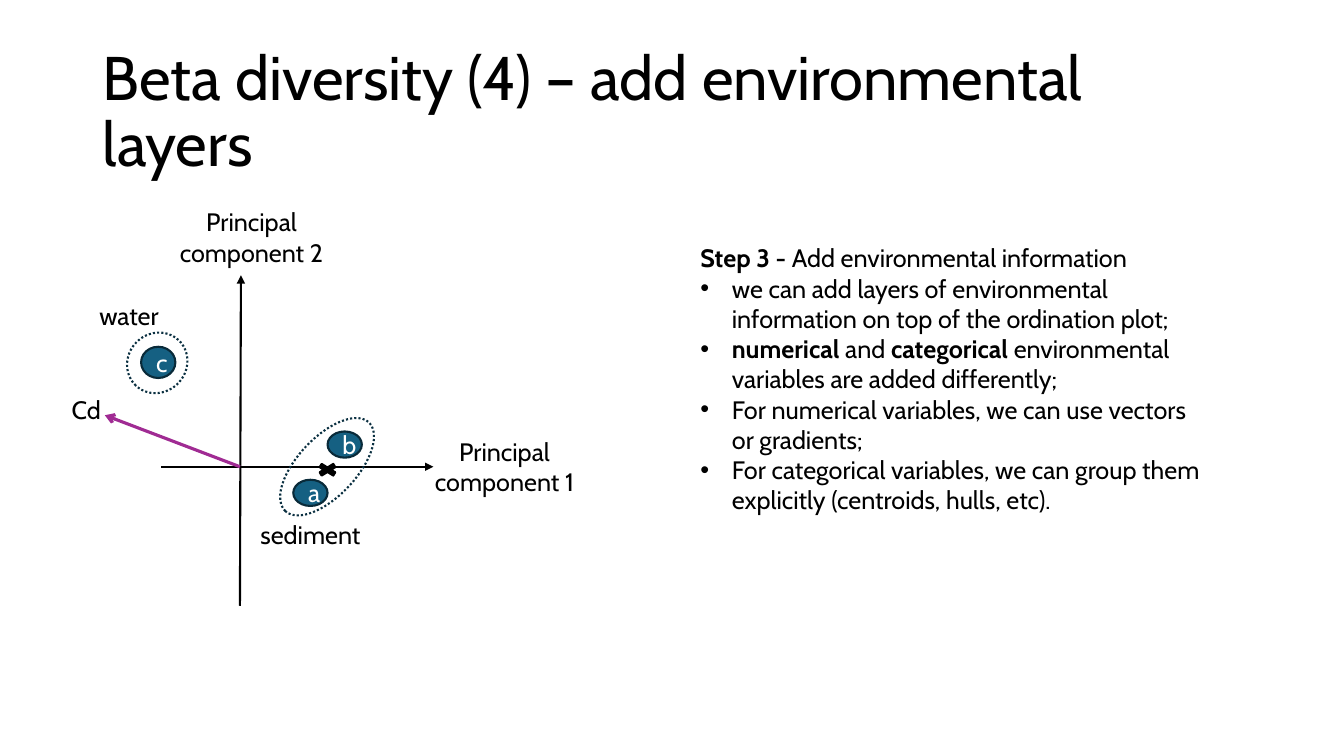
from dataclasses import dataclass
from typing import Optional

from lxml.etree import SubElement
from pptx import Presentation
from pptx.dml.color import RGBColor
from pptx.enum.dml import MSO_LINE
from pptx.enum.shapes import MSO_CONNECTOR, MSO_SHAPE
from pptx.enum.text import MSO_ANCHOR, PP_ALIGN
from pptx.oxml.ns import qn
from pptx.util import Pt

FONT = "Cabin"
BLACK = RGBColor(0x00, 0x00, 0x00)
WHITE = RGBColor(0xFF, 0xFF, 0xFF)
SAMPLE_FILL = RGBColor(0x15, 0x60, 0x82)
SAMPLE_EDGE = RGBColor(0x09, 0x2A, 0x39)
GROUP_EDGE = RGBColor(0x0B, 0x30, 0x41)
VECTOR_PURPLE = RGBColor(0xA0, 0x2B, 0x93)
BULLET_INDENT = 22.5
ORIGIN_X, ORIGIN_Y = 171.4, 333.4


@dataclass
class Box:
    left: float
    top: float
    width: float
    height: float

    def lengths(self) -> tuple:
        return Pt(self.left), Pt(self.top), Pt(self.width), Pt(self.height)


@dataclass
class Label:
    text: str
    box: Box


@dataclass
class Arrow:
    start: tuple[float, float]
    end: tuple[float, float]
    color: RGBColor = BLACK
    width: float = 1.5
    head: str = "triangle"


@dataclass
class Marker:
    box: Box
    edge: RGBColor
    fill: Optional[RGBColor] = None
    text: str = ""
    rotation: float = 0
    preset: MSO_SHAPE = MSO_SHAPE.OVAL


TITLE = Label("Beta diversity (4) – add environmental layers", Box(66.2, 28.8, 828, 104.4))
EXPLANATION_BOX = Box(493.2, 169.9, 375.1, 203.8)
# Each paragraph is a list of (text, bold) runs; the first one is the heading.
EXPLANATION = [
    [("Step 3 - ", True), ("Add environmental information", False)],
    [("we can add layers of environmental information on top of the ordination plot;", False)],
    [("numerical ", True), ("and ", False), ("categorical", True),
     (" environmental variables are added differently;", False)],
    [("For numerical variables, we can use vectors or gradients;", False)],
    [("For categorical variables, we can group them explicitly (centroids, hulls, etc).", False)],
]
AXES = [
    Arrow((115.2, ORIGIN_Y), (309.6, ORIGIN_Y)),
    Arrow((ORIGIN_X, 432.7), (172.1, 196.6)),
]
CADMIUM_VECTOR = Arrow((ORIGIN_X, ORIGIN_Y), (74.9, 296.6), VECTOR_PURPLE, 2.25, "arrow")
LABELS = [
    Label("Principal component 1", Box(281.5, 308.2, 157.7, 51.1)),
    Label("Principal component 2", Box(100.8, 144, 157.7, 51.1)),
    Label("Cd", Box(39.6, 277.9, 43.9, 28.8)),
    Label("sediment", Box(151.9, 367.2, 139.7, 28.8)),
    Label("water", Box(22.3, 211, 139.7, 28.8)),
]
SAMPLES = [
    Marker(Box(209.5, 342.7, 24.5, 18.7), SAMPLE_EDGE, SAMPLE_FILL, "a"),
    Marker(Box(234, 308.2, 24.5, 18.7), SAMPLE_EDGE, SAMPLE_FILL, "b"),
    Marker(Box(100.8, 247.7, 24.5, 22.3), SAMPLE_EDGE, SAMPLE_FILL, "c"),
]
GROUPS = [
    Marker(Box(190.1, 312.5, 87.1, 41.8), GROUP_EDGE, rotation=313.3),
    Marker(Box(90, 238.3, 44.6, 41.8), GROUP_EDGE, rotation=313.3),
]
CENTROID = Marker(Box(224.6, 329.8, 18.7, 11.5), BLACK, BLACK,
                  preset=MSO_SHAPE.MATH_MULTIPLY)


def add_run(paragraph, text: str, size: float = 18, color: RGBColor = BLACK,
            bold: bool = False) -> None:
    run = paragraph.add_run()
    run.text = text
    for name, value in {"name": FONT, "size": Pt(size), "bold": bold}.items():
        setattr(run.font, name, value)
    run.font.color.rgb = color


def add_text_frame(slide, box: Box, anchor: MSO_ANCHOR = MSO_ANCHOR.TOP):
    frame = slide.shapes.add_textbox(*box.lengths()).text_frame
    for name, value in {"word_wrap": True, "vertical_anchor": anchor}.items():
        setattr(frame, name, value)
    return frame


def add_title(slide) -> None:
    paragraph = add_text_frame(slide, TITLE.box, MSO_ANCHOR.MIDDLE).paragraphs[0]
    paragraph.line_spacing = 0.9
    add_run(paragraph, TITLE.text, size=44)


def add_label(slide, label: Label) -> None:
    paragraph = add_text_frame(slide, label.box).paragraphs[0]
    paragraph.alignment = PP_ALIGN.CENTER
    add_run(paragraph, label.text)


def add_bullet(paragraph) -> None:
    properties = paragraph._p.get_or_add_pPr()
    properties.set("marL", str(Pt(BULLET_INDENT)))
    properties.set("indent", str(-Pt(BULLET_INDENT)))
    SubElement(properties, qn("a:buFont"), typeface="Arial")
    SubElement(properties, qn("a:buChar"), char="•")


def add_explanation(slide) -> None:
    frame = add_text_frame(slide, EXPLANATION_BOX)
    for index, runs in enumerate(EXPLANATION):
        paragraph = frame.add_paragraph() if index else frame.paragraphs[0]
        if index:
            add_bullet(paragraph)
        for text, bold in runs:
            add_run(paragraph, text, bold=bold)


def add_arrow(slide, arrow: Arrow) -> None:
    points = [Pt(value) for value in (*arrow.start, *arrow.end)]
    connector = slide.shapes.add_connector(MSO_CONNECTOR.STRAIGHT, *points)
    connector.line.color.rgb = arrow.color
    connector.line.width = Pt(arrow.width)
    SubElement(connector.line._get_or_add_ln(), qn("a:tailEnd"), type=arrow.head)
    SubElement(connector._element.spPr, qn("a:effectLst"))


def add_marker(slide, marker: Marker) -> None:
    """Draw a filled marker, or a dotted outline when it has no fill."""
    shape = slide.shapes.add_shape(marker.preset, *marker.box.lengths())
    shape.shadow.inherit = False
    shape.rotation = marker.rotation
    shape.line.color.rgb = marker.edge
    shape.line.width = Pt(1.5)
    if marker.fill is None:
        shape.fill.background()
        shape.line.dash_style = MSO_LINE.ROUND_DOT
    else:
        shape.fill.solid()
        shape.fill.fore_color.rgb = marker.fill
    if marker.text:
        shape.text_frame.vertical_anchor = MSO_ANCHOR.MIDDLE
        shape.text_frame.word_wrap = True
        paragraph = shape.text_frame.paragraphs[0]
        paragraph.alignment = PP_ALIGN.CENTER
        add_run(paragraph, marker.text, color=WHITE)


def main() -> None:
    presentation = Presentation()
    presentation.slide_width, presentation.slide_height = Pt(960), Pt(540)
    slide = presentation.slides.add_slide(presentation.slide_layouts[6])
    add_title(slide)
    add_explanation(slide)
    for arrow in [*AXES, CADMIUM_VECTOR]:
        add_arrow(slide, arrow)
    for label in LABELS:
        add_label(slide, label)
    for marker in [*SAMPLES, *GROUPS, CENTROID]:
        add_marker(slide, marker)
    presentation.save("out.pptx")


if __name__ == "__main__":
    main()
